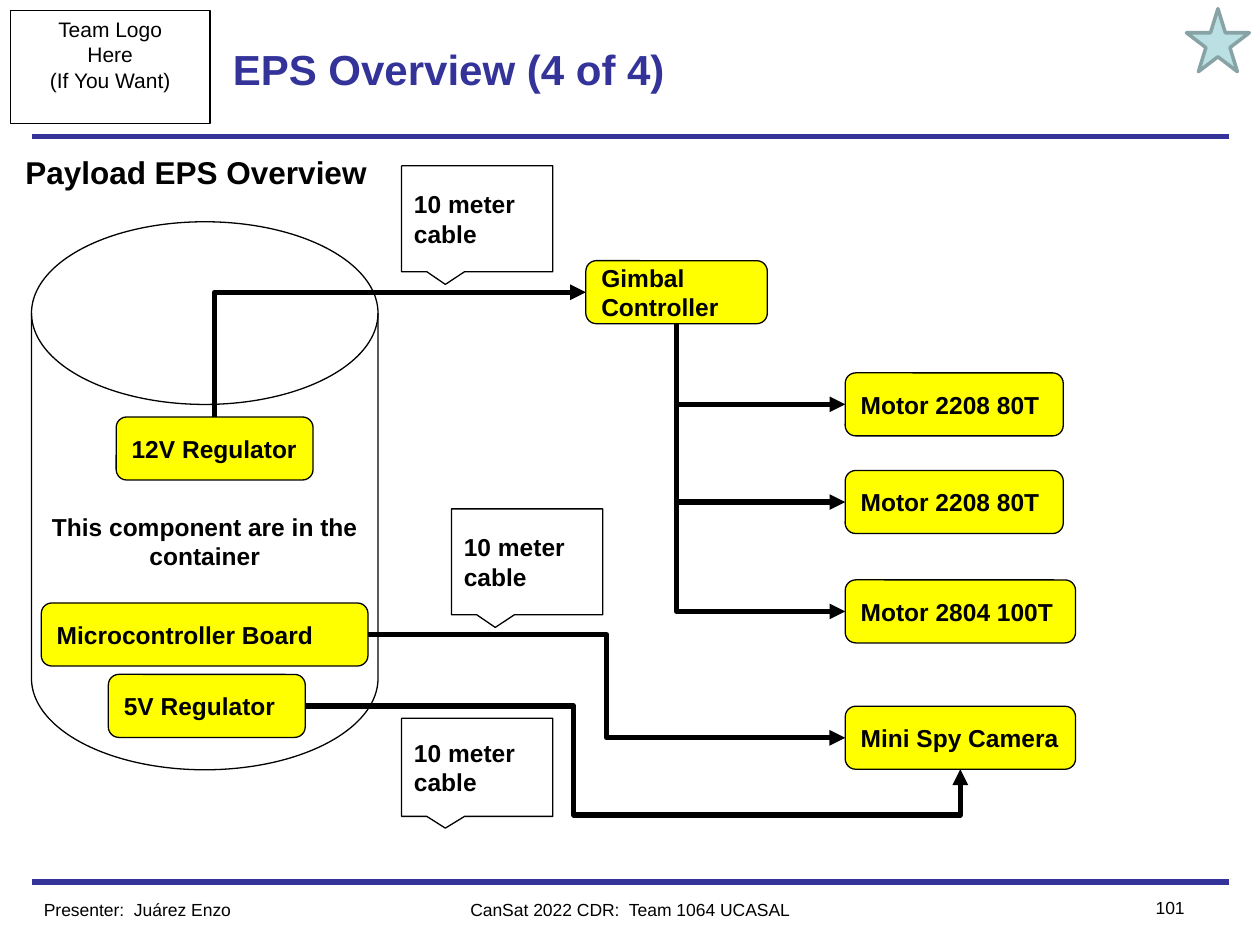
from dataclasses import dataclass

from lxml import etree
from pptx import Presentation
from pptx import util as u
from pptx.dml import color
from pptx.enum import shapes, text
from pptx.oxml import ns

Pt = u.Pt


@dataclass(frozen=True)
class Theme:
    """Colours, font and type sizes of the deck."""
    font: str = "Arial"
    navy: str = "333399"
    black: str = "000000"
    white: str = "FFFFFF"
    yellow: str = "FFFF00"
    star: str = "BBE0E3"
    star_edge: str = "88A3A5"
    title: int = 24
    heading: int = 18
    label: int = 14
    logo: int = 12
    footer: int = 10
    thin: float = 0.75
    edge: float = 2
    thick: float = 3


@dataclass(frozen=True)
class Box:
    """A region in points."""
    left: float
    top: float
    width: float
    height: float

    def inner(self, left, top, width, height):
        """Return a box placed relative to this one."""
        return Box(self.left + left, self.top + top, width, height)

    def lengths(self):
        """Return the four lengths for a shape call."""
        return [Pt(v) for v in (self.left, self.top, self.width, self.height)]


THEME = Theme()
KINDS = shapes.MSO_SHAPE
LEFT, CENTER, RIGHT = text.PP_ALIGN.LEFT, text.PP_ALIGN.CENTER, text.PP_ALIGN.RIGHT
TOP, MIDDLE = text.MSO_ANCHOR.TOP, text.MSO_ANCHOR.MIDDLE
SITE_TOP, SITE_LEFT, SITE_BOTTOM, SITE_RIGHT = range(4)


def rgb(value):
    """Turn a hex string into a colour."""
    return color.RGBColor.from_string(value)


def write(shape, words, size, tint=THEME.black, bold=False, align=LEFT, anchor=TOP, inset=3.6):
    """Fill a shape with formatted text."""
    frame = shape.text_frame
    frame.word_wrap = True
    frame.vertical_anchor = anchor
    frame.margin_left = frame.margin_right = Pt(7.2)
    frame.margin_top = frame.margin_bottom = Pt(inset)
    frame.text = words
    for para in frame.paragraphs:
        para.alignment = align
        for span in para.runs:
            span.font.name, span.font.size, span.font.bold = THEME.font, Pt(size), bold
            span.font.color.rgb = rgb(tint)


def add_text(page, box, words, size, **style):
    """Add a text box."""
    write(page.shapes.add_textbox(*box.lengths()), words, size, **style)


def add_figure(page, kind, box, fill, edge=THEME.black, weight=THEME.thin):
    """Add a flat preset shape."""
    shape = page.shapes.add_shape(kind, *box.lengths())
    shape.shadow.inherit = False
    shape.fill.solid()
    shape.fill.fore_color.rgb = rgb(fill)
    shape.line.color.rgb = rgb(edge)
    shape.line.width = Pt(weight)
    return shape


def add_label(page, kind, box, fill, words, align=LEFT):
    """Add a shape that carries a bold diagram label."""
    shape = add_figure(page, kind, box, fill)
    write(shape, words, THEME.label, bold=True, align=align, anchor=MIDDLE, inset=7.2)
    return shape


def add_line(page, kind, ends, tint):
    """Add a thick connector without shadow."""
    line = page.shapes.add_connector(kind, *(Pt(v) for v in ends))
    line.line.color.rgb = rgb(tint)
    line.line.width = Pt(THEME.thick)
    etree.SubElement(line._element.spPr, ns.qn("a:effectLst"))
    return line


def add_wire(page, source, source_site, target, target_site, bend, adjust=()):
    """Join two parts with a bent arrow."""
    wire = add_line(page, shapes.MSO_CONNECTOR.ELBOW, (0, 0, 0, 0), THEME.black)
    wire.begin_connect(source, source_site)
    wire.end_connect(target, target_site)
    properties = wire._element.spPr
    geometry = properties.find(ns.qn("a:prstGeom"))
    geometry.set("prst", bend)
    values = geometry.find(ns.qn("a:avLst"))
    for number, value in enumerate(adjust, 1):
        etree.SubElement(values, ns.qn("a:gd"), name=f"adj{number}", fmla=f"val {round(value * 100000)}")
    outline = properties.find(ns.qn("a:ln"))
    etree.SubElement(outline, ns.qn("a:tailEnd"), type="triangle")
    if bend == "bentConnector2":
        turn_upright(wire)


def turn_upright(wire):
    """Rotate a one-corner wire so that it leaves vertically."""
    x0, y0, x1, y1 = wire.begin_x, wire.begin_y, wire.end_x, wire.end_y
    run, rise = abs(x1 - x0), abs(y1 - y0)
    frame = wire._element.spPr.find(ns.qn("a:xfrm"))
    for flip in ("flipH", "flipV"):
        frame.attrib.pop(flip, None)
    wire.left, wire.top = (x0 + x1 - rise) // 2, (y0 + y1 - run) // 2
    wire.width, wire.height = rise, run
    frame.set("rot", "16200000")
    if y1 > y0:
        frame.set("flipH", "1")


def add_rule(page, box, y):
    """Draw a navy rule inside the side margins of a region."""
    ends = (box.left + 18, y, box.left + box.width - 18, y)
    add_line(page, shapes.MSO_CONNECTOR.STRAIGHT, ends, THEME.navy)


def header(page, box):
    """Place the logo frame, title, star and rule."""
    add_rule(page, box, box.top + box.height)
    frame = add_figure(page, KINDS.RECTANGLE, box.inner(6, 6, 114, 64.8), THEME.white)
    write(frame, "Team Logo\nHere\n(If You Want)", THEME.logo, align=CENTER)
    add_text(page, box.inner(126, 6, 425, 66), "EPS Overview (4 of 4)", THEME.title,
             tint=THEME.navy, bold=True, anchor=MIDDLE)
    add_figure(page, KINDS.STAR_5_POINT, box.inner(678, 5, 36, 36), THEME.star, THEME.star_edge, THEME.edge)


def footer(page, box):
    """Place the rule, presenter, event and page number."""
    add_rule(page, box, box.top)
    entries = [(18, 6, 180, "Presenter:  Juárez Enzo", LEFT),
               (216, 6, 288, "CanSat 2022 CDR:  Team 1064 UCASAL", CENTER),
               (630, 5, 54, "101", RIGHT)]
    for left, top, width, words, align in entries:
        add_text(page, box.inner(left, top, width, 19.4), words, THEME.footer, align=align)


def diagram(page, box):
    """Place the payload power diagram."""
    add_label(page, KINDS.FLOWCHART_MAGNETIC_DISK, box.inner(18, 46.7, 198, 313.2), THEME.white,
              "This component are in the container", CENTER)
    add_text(page, box.inner(7.4, 0, 230, 36), "Payload EPS Overview", THEME.heading, bold=True, inset=7.2)
    layout = {
        "12v": (66.4, 158.3, 112.5, "12V Regulator"),
        "controller": (334.8, 69, 103.7, "Gimbal\nController"),
        "motor 1": (483, 133.1, 124.6, "Motor 2208 80T"),
        "motor 2": (483, 188.9, 124.6, "Motor 2208 80T"),
        "motor 3": (483, 251.4, 131.6, "Motor 2804 100T"),
        "board": (23.6, 264.6, 186.7, "Microcontroller Board"),
        "camera": (483, 323.6, 131.6, "Mini Spy Camera"),
        "5v": (61.9, 305.4, 112.5, "5V Regulator"),
    }
    parts = {name: add_label(page, KINDS.ROUNDED_RECTANGLE, box.inner(left, top, width, 36), THEME.yellow, words)
             for name, (left, top, width, words) in layout.items()}
    for motor in ("motor 1", "motor 2", "motor 3"):
        add_wire(page, parts["controller"], SITE_BOTTOM, parts[motor], SITE_LEFT, "bentConnector2")
    add_wire(page, parts["12v"], SITE_TOP, parts["controller"], SITE_LEFT, "bentConnector2")
    add_wire(page, parts["board"], SITE_RIGHT, parts["camera"], SITE_LEFT, "bentConnector3", [0.5])
    add_wire(page, parts["5v"], SITE_RIGHT, parts["camera"], SITE_BOTTOM, "bentConnector4", [0.41, 1.72])
    for left, top, height in [(229.5, 14.8, 60.5), (258, 210.8, 60.5), (229.5, 330.5, 56)]:
        note = add_label(page, KINDS.ROUNDED_RECTANGULAR_CALLOUT, box.inner(left, top, 86.4, height),
                         THEME.white, "10 meter cable")
        for number, value in enumerate((-0.21, 0.62, 0)):
            note.adjustments[number] = value


def main():
    """Build the deck and save it."""
    deck = Presentation()
    deck.slide_width, deck.slide_height = Pt(720), Pt(540)
    page = deck.slides.add_slide(deck.slide_layouts[6])
    header(page, Box(0, 0, 720, 78))
    footer(page, Box(0, 504, 720, 36))
    diagram(page, Box(0, 80, 720, 420))
    deck.save("out.pptx")


if __name__ == "__main__":
    main()
